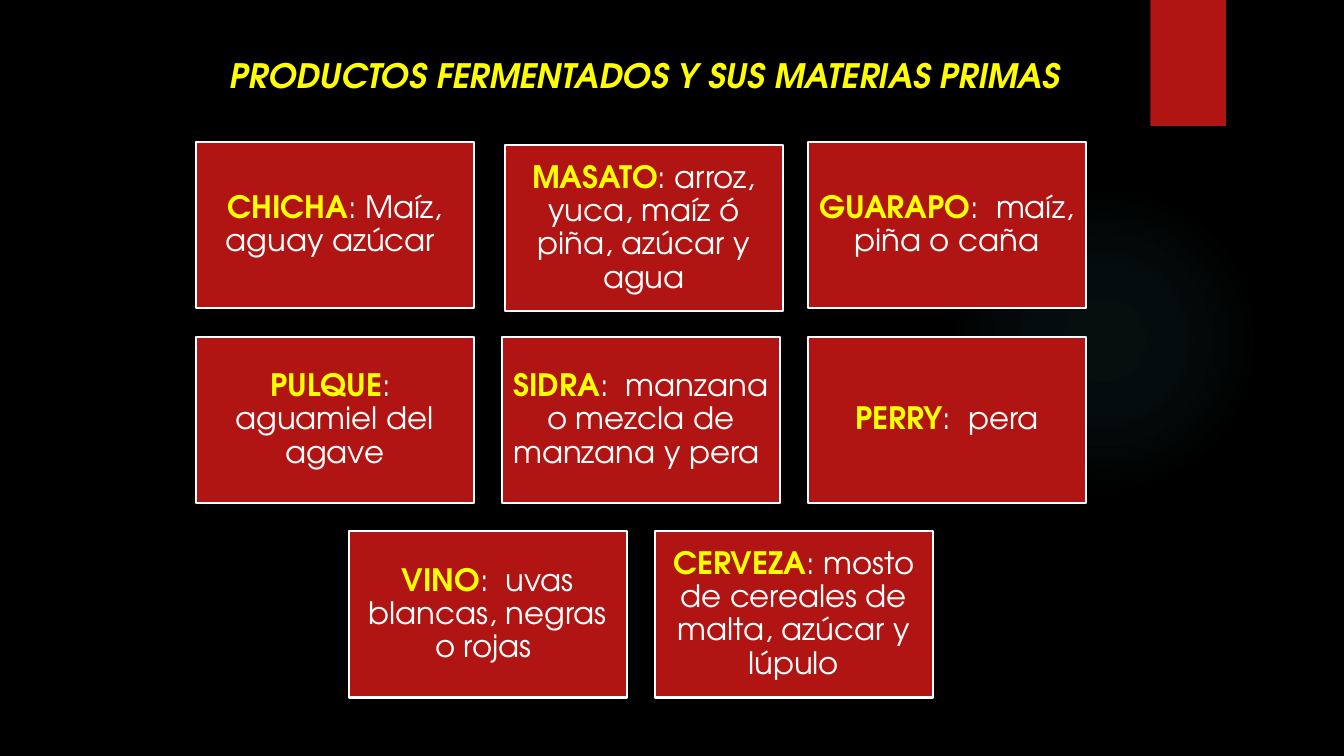
import pptx
import pptx.util
import pptx.oxml
import pptx.oxml.ns
import pptx.dml.color
import pptx.enum.shapes
import pptx.enum.text

Inches = pptx.util.Inches
FONT = "TeX Gyre Adventor"
COLORS = {
    "background": "000000",
    "red": "B01513",
    "yellow": "FFFF00",
    "white": "FFFFFF",
    "glow": "50B9C1",
}
GLOW_STOPS = [(0, 7), (36, 6), (69, 0)]
PRODUCT_ROWS = [
    [
        ("CHICHA", ": Maíz, aguay azúcar "),
        ("MASATO", ": arroz, yuca, maíz ó piña, azúcar y agua"),
        ("GUARAPO", ":  maíz, piña o caña"),
    ],
    [
        ("PULQUE", ":  aguamiel del agave"),
        ("SIDRA", ":  manzana o mezcla de manzana y pera "),
        ("PERRY", ":  pera"),
    ],
    [
        ("VINO", ":  uvas blancas, negras o rojas "),
        ("CERVEZA", ": mosto de cereales de malta, azúcar y lúpulo"),
    ],
]
NUDGES = {"MASATO": 0.03}
CARD_WIDTH, CARD_HEIGHT = 2.76, 1.65


def rgb(name):
    return pptx.dml.color.RGBColor.from_string(COLORS[name])


def add_plain_shape(slide, kind, left, top, width, height):
    shape = slide.shapes.add_shape(
        kind, Inches(left), Inches(top), Inches(width), Inches(height)
    )
    shape.shadow.inherit = False
    shape.line.fill.background()
    return shape


def add_glow(slide, left, top, size):
    glow = add_plain_shape(
        slide, pptx.enum.shapes.MSO_SHAPE.OVAL, left, top, size, size
    )
    glow.fill.background()
    stops = "".join(
        f'<a:gs pos="{position * 1000}"><a:srgbClr val="{COLORS["glow"]}">'
        f'<a:alpha val="{alpha * 1000}"/></a:srgbClr></a:gs>'
        for position, alpha in GLOW_STOPS
    )
    gradient = pptx.oxml.parse_xml(
        f'<a:gradFill {pptx.oxml.ns.nsdecls("a")}><a:gsLst>{stops}</a:gsLst>'
        '<a:path path="circle"><a:fillToRect l="50000" t="50000" r="50000" b="50000"/>'
        "</a:path></a:gradFill>"
    )
    properties = glow.element.spPr
    properties.replace(properties.find(pptx.oxml.ns.qn("a:noFill")), gradient)


def add_corner_tab(slide, left, top, width, height):
    tab = add_plain_shape(
        slide, pptx.enum.shapes.MSO_SHAPE.RECTANGLE, left, top, width, height
    )
    tab.fill.solid()
    tab.fill.fore_color.rgb = rgb("red")


def add_title(slide, left, top, width, height):
    title = slide.shapes.title
    title.left, title.top = Inches(left), Inches(top)
    title.width, title.height = Inches(width), Inches(height)
    frame = title.text_frame
    frame.text = "PRODUCTOS FERMENTADOS Y SUS MATERIAS PRIMAS"
    frame.word_wrap = True
    frame.vertical_anchor = pptx.enum.text.MSO_ANCHOR.TOP
    frame.auto_size = pptx.enum.text.MSO_AUTO_SIZE.NONE
    paragraph = frame.paragraphs[0]
    paragraph.alignment = pptx.enum.text.PP_ALIGN.LEFT
    paragraph.font.name = FONT
    paragraph.font.size = pptx.util.Pt(24)
    paragraph.font.bold = True
    paragraph.font.italic = True
    paragraph.font.color.rgb = rgb("yellow")


def add_card(slide, left, top, product, ingredients):
    card = add_plain_shape(
        slide,
        pptx.enum.shapes.MSO_SHAPE.RECTANGLE,
        left, top, CARD_WIDTH, CARD_HEIGHT,
    )
    card.fill.solid()
    card.fill.fore_color.rgb = rgb("red")
    card.line.color.rgb = rgb("white")
    card.line.width = pptx.util.Pt(1.5)
    frame = card.text_frame
    frame.word_wrap = True
    frame.vertical_anchor = pptx.enum.text.MSO_ANCHOR.MIDDLE
    frame.margin_left = frame.margin_right = Inches(0.09)
    frame.margin_top = frame.margin_bottom = Inches(0.09)
    paragraph = frame.paragraphs[0]
    paragraph.alignment = pptx.enum.text.PP_ALIGN.CENTER
    paragraph.line_spacing = 0.9
    paragraph.font.name = FONT
    paragraph.font.size = pptx.util.Pt(22)
    for text, color, bold in (
        (product, "yellow", True),
        (ingredients, "white", False),
    ):
        run = paragraph.add_run()
        run.text = text
        run.font.bold = bold
        run.font.color.rgb = rgb(color)


def add_product_grid(slide, left, top, width, height):
    column_step = (width - CARD_WIDTH) / 2
    row_step = (height - CARD_HEIGHT) / (len(PRODUCT_ROWS) - 1)
    for row_index, row in enumerate(PRODUCT_ROWS):
        row_width = CARD_WIDTH + (len(row) - 1) * column_step
        row_left = left + (width - row_width) / 2
        for column_index, (product, ingredients) in enumerate(row):
            nudge = NUDGES.get(product, 0)
            add_card(
                slide,
                row_left + column_index * column_step + nudge,
                top + row_index * row_step + nudge,
                product,
                ingredients,
            )


def main():
    presentation = pptx.Presentation()
    presentation.slide_width = Inches(13.33)
    presentation.slide_height = Inches(7.5)
    slide = presentation.slides.add_slide(presentation.slide_layouts[5])
    slide.background.fill.solid()
    slide.background.fill.fore_color.rgb = rgb("background")
    add_glow(slide, 9.41, 1.83, 3.08)
    add_corner_tab(slide, 11.41, 0, 0.75, 1.25)
    add_product_grid(slide, 1.94, 1.41, 8.83, 5.51)
    add_title(slide, 2.18, 0.49, 8.93, 0.5)
    presentation.save("out.pptx")


if __name__ == "__main__":
    main()
